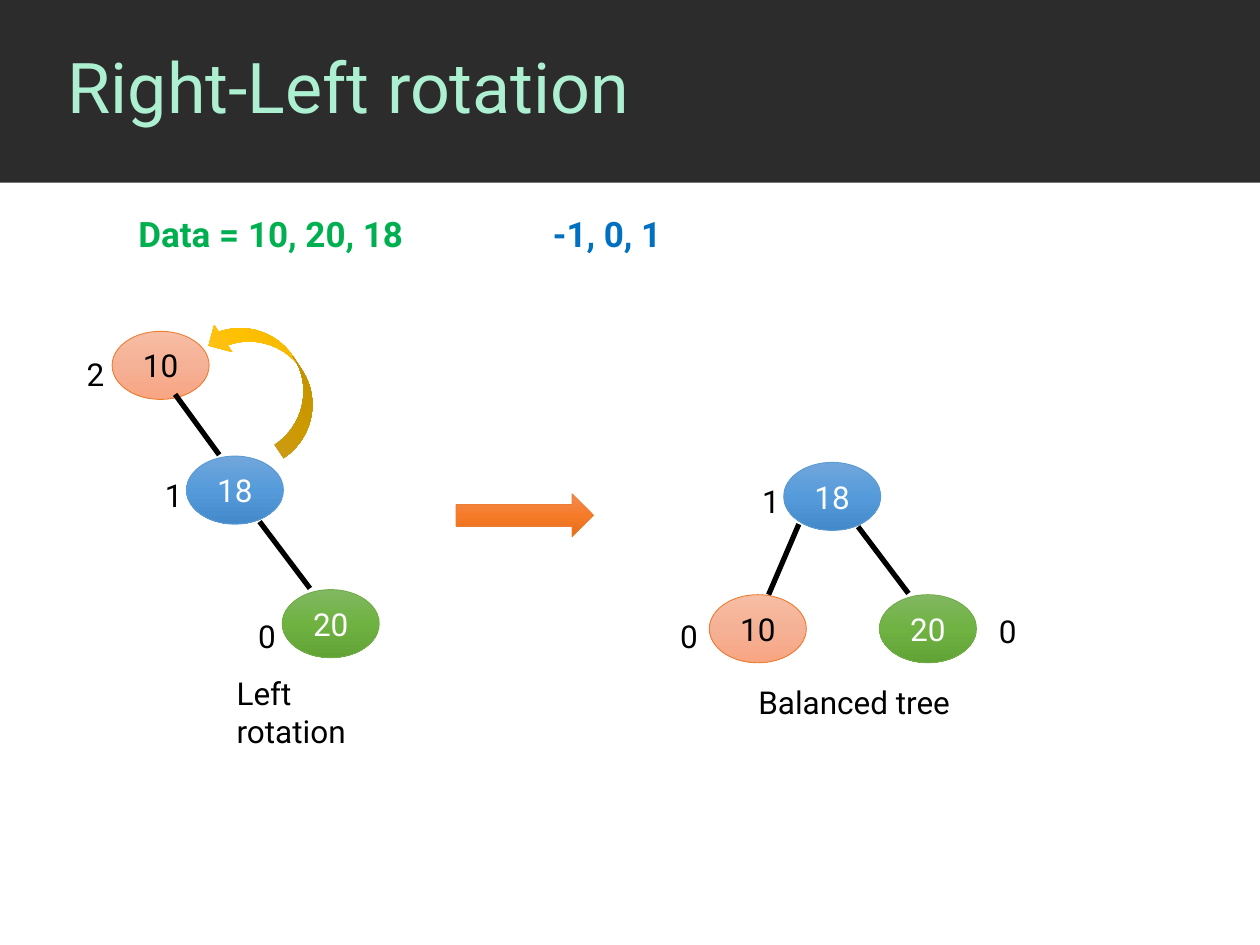
from copy import deepcopy
from dataclasses import dataclass

from lxml.etree import SubElement
from pptx import Presentation
from pptx.dml.color import RGBColor
from pptx.enum.shapes import MSO_CONNECTOR, MSO_SHAPE as Preset
from pptx.enum.text import MSO_ANCHOR as Anchor, PP_ALIGN as Align
from pptx.oxml.ns import qn
from pptx.util import Inches, Pt

FONT = "Roboto"
BLACK = RGBColor(0x00, 0x00, 0x00)
WHITE = RGBColor(0xFF, 0xFF, 0xFF)
CHARCOAL = RGBColor(0x2C, 0x2C, 0x2C)
MINT = RGBColor(0xAD, 0xF0, 0xD1)
DATA_GREEN = RGBColor(0x00, 0xB0, 0x50)
BALANCE_BLUE = RGBColor(0x00, 0x70, 0xC0)
ORANGE = RGBColor(0xED, 0x7D, 0x31)
BLUE = RGBColor(0x5B, 0x9B, 0xD5)
GREEN = RGBColor(0x70, 0xAD, 0x47)
PEACH_SHADES = RGBColor(0xF7, 0xBD, 0xA5), RGBColor(0xF5, 0xB1, 0x96), RGBColor(0xF8, 0xA5, 0x82)
BLUE_SHADES = RGBColor(0x71, 0xA6, 0xDB), RGBColor(0x55, 0x9B, 0xDB), RGBColor(0x44, 0x8A, 0xCA)
GREEN_SHADES = RGBColor(0x81, 0xB8, 0x61), RGBColor(0x6F, 0xB2, 0x42), RGBColor(0x62, 0xA3, 0x36)
GOLD_SHADES = RGBColor(0xFF, 0xC6, 0x4B), RGBColor(0xFF, 0xC0, 0x00), RGBColor(0xE3, 0xAB, 0x00)
ORANGE_SHADES = RGBColor(0xF1, 0x8C, 0x57), RGBColor(0xF6, 0x7B, 0x28), RGBColor(0xE5, 0x6C, 0x19)


@dataclass(frozen=True)
class Style:
    shades: tuple
    outline: RGBColor | None
    text: RGBColor = WHITE


@dataclass(frozen=True)
class Node:
    value: str
    left: float
    top: float


@dataclass(frozen=True)
class Edge:
    start: tuple[float, float]
    end: tuple[float, float]


@dataclass(frozen=True)
class Label:
    text: str
    left: float
    top: float
    width: float = 0.3


NODE_STYLES = {
    "10": Style(PEACH_SHADES, ORANGE, BLACK),
    "18": Style(BLUE_SHADES, BLUE),
    "20": Style(GREEN_SHADES, GREEN),
}
NODES = [
    Node("10", 0.89, 2.63), Node("20", 2.24, 4.68), Node("18", 1.48, 3.62),
    Node("10", 5.63, 4.72), Node("20", 6.98, 4.72), Node("18", 6.22, 3.67),
]
EDGES = [
    Edge((1.39, 3.13), (1.74, 3.61)), Edge((2.06, 4.14), (2.46, 4.67)),
    Edge((6.34, 4.16), (6.1, 4.72)), Edge((6.81, 4.18), (7.21, 4.71)),
]
LABELS = [
    Label("0", 1.95, 4.85), Label("1", 1.21, 3.73), Label("2", 0.59, 2.77),
    Label("0", 7.83, 4.81), Label("1", 5.95, 3.78), Label("0", 5.3, 4.85),
    Label("Left rotation", 1.78, 5.3, 1.5), Label("Balanced tree", 5.92, 5.37, 1.83),
]


def set_font(paragraph, size: float, color: RGBColor) -> None:
    font = paragraph.font
    font.name, font.size, font.color.rgb = FONT, Pt(size), color


def add_text(slide, text: str, left: float, top: float, width: float, height: float,
             size: float = 18, color: RGBColor = BLACK):
    box = slide.shapes.add_textbox(Inches(left), Inches(top), Inches(width), Inches(height))
    box.text_frame.word_wrap = True
    paragraph = box.text_frame.paragraphs[0]
    paragraph.text = text
    set_font(paragraph, size, color)
    return box


def add_gradient_shape(slide, preset: Preset, left: float, top: float, width: float,
                       height: float, style: Style):
    shape = slide.shapes.add_shape(preset, Inches(left), Inches(top), Inches(width), Inches(height))
    shape.shadow.inherit = False
    shape.fill.gradient()
    shape.fill.gradient_angle = 270
    stop_list = shape._element.spPr.find(qn("a:gradFill")).find(qn("a:gsLst"))
    stop_list.insert(1, deepcopy(stop_list[0]))
    for index, (stop, shade) in enumerate(zip(shape.fill.gradient_stops, style.shades)):
        stop.position = index / 2
        stop.color.rgb = shade
    if style.outline is None:
        shape.line.fill.background()
    else:
        shape.line.color.rgb = style.outline
        shape.line.width = Pt(0.5)
    return shape


def add_node(slide, node: Node) -> None:
    style = NODE_STYLES[node.value]
    shape = add_gradient_shape(slide, Preset.OVAL, node.left, node.top, 0.77, 0.54, style)
    shape.text_frame.vertical_anchor = Anchor.MIDDLE
    paragraph = shape.text_frame.paragraphs[0]
    paragraph.text = node.value
    paragraph.alignment = Align.CENTER
    set_font(paragraph, 18, style.text)


def add_edge(slide, edge: Edge) -> None:
    points = [Inches(value) for value in (*edge.start, *edge.end)]
    connector = slide.shapes.add_connector(MSO_CONNECTOR.STRAIGHT, *points)
    connector.line.color.rgb = BLACK
    connector.line.width = Pt(3)
    SubElement(connector._element.spPr, qn("a:effectLst"))


def add_header(slide) -> None:
    band = slide.shapes.add_shape(Preset.RECTANGLE, 0, 0, Inches(10), Inches(1.45))
    band.shadow.inherit = False
    band.fill.solid()
    band.fill.fore_color.rgb = CHARCOAL
    band.line.fill.background()
    title = add_text(slide, "Right-Left rotation", 0.44, 0, 9.56, 1.44, 40, MINT)
    title.text_frame.vertical_anchor = Anchor.MIDDLE
    title.text_frame.paragraphs[0].line_spacing = 0.9


def add_data_line(slide) -> None:
    box = slide.shapes.add_textbox(Inches(1), Inches(1.64), Inches(4.63), Inches(0.44))
    box.text_frame.word_wrap = True
    paragraph = box.text_frame.paragraphs[0]
    tabs = SubElement(paragraph._p.get_or_add_pPr(), qn("a:tabLst"))
    SubElement(tabs, qn("a:tab"), pos=str(Inches(3.29)), algn="l")
    set_font(paragraph, 20, DATA_GREEN)
    paragraph.font.bold = True
    for text, color in (("Data = 10, 20, 18", DATA_GREEN), ("\t-1, 0, 1", BALANCE_BLUE)):
        run = paragraph.add_run()
        run.text = text
        run.font.color.rgb = color


def main() -> None:
    """Build the slide on a right-left tree rotation."""
    presentation = Presentation()
    presentation.slide_width, presentation.slide_height = Inches(10), Inches(7.5)
    slide = presentation.slides.add_slide(presentation.slide_layouts[6])
    add_header(slide)
    add_data_line(slide)
    for node in NODES:
        add_node(slide, node)
    for edge in EDGES:
        add_edge(slide, edge)
    for label in LABELS:
        add_text(slide, label.text, label.left, label.top, label.width, 0.4)
    rotation_arrow = add_gradient_shape(slide, Preset.CURVED_UP_ARROW, 1.53, 2.74, 1.2, 0.51,
                                        Style(GOLD_SHADES, None))
    rotation_arrow.rotation = 236.3
    add_gradient_shape(slide, Preset.RIGHT_ARROW, 3.62, 3.92, 1.09, 0.34,
                       Style(ORANGE_SHADES, ORANGE))
    presentation.save("out.pptx")


if __name__ == "__main__":
    main()
